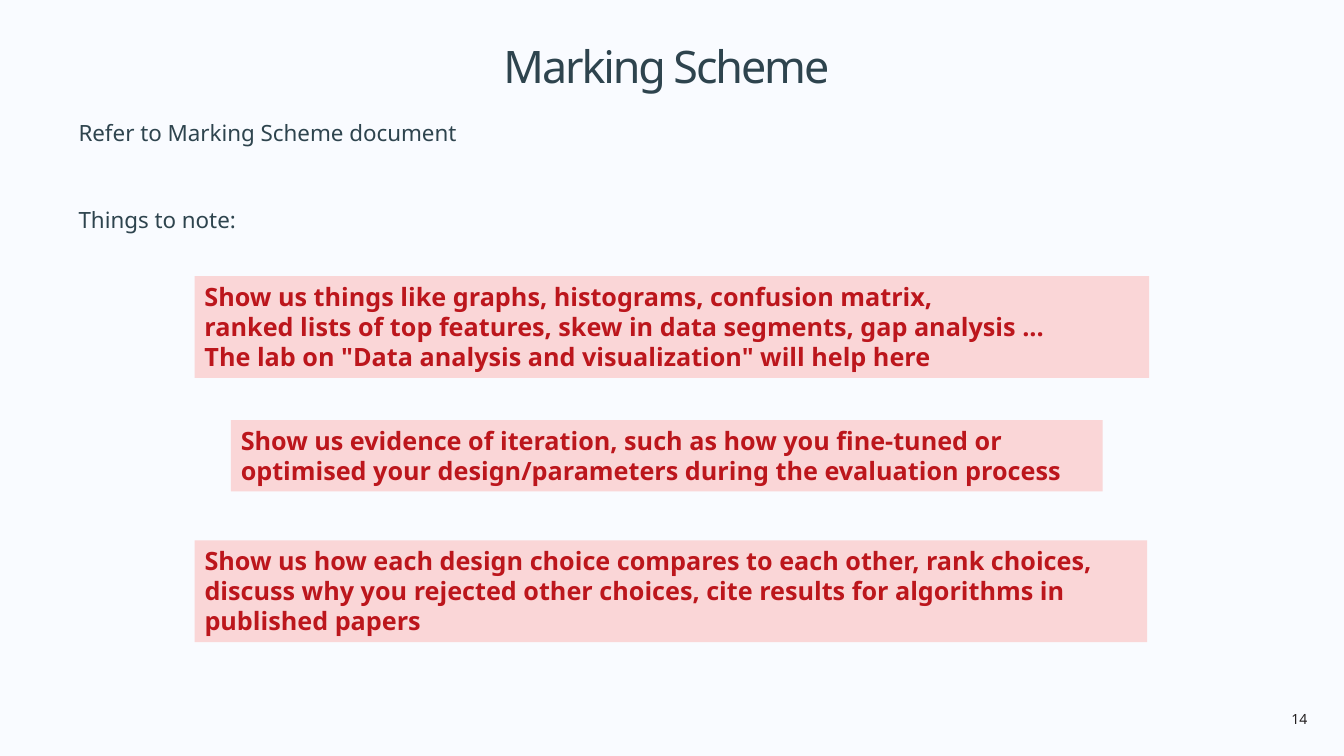
from dataclasses import dataclass

import pptx
import pptx.dml.color
import pptx.enum.shapes
import pptx.enum.text
import pptx.util

Pt = pptx.util.Pt
ALIGN = pptx.enum.text.PP_ALIGN
ANCHOR = pptx.enum.text.MSO_ANCHOR


def rgb(value):
    return pptx.dml.color.RGBColor.from_string(value)


@dataclass(frozen=True)
class Theme:
    font: str = "Noto Sans"
    background: str = "F9FBFF"
    ink: str = "2E444E"
    number_ink: str = "231F20"
    note_fill: str = "FAD6D7"
    note_ink: str = "BC161C"
    title_size: float = 32
    body_size: float = 16
    note_size: float = 18
    number_size: float = 10


def write(tf, lines, *, font, size, color, bold=False, align=ALIGN.LEFT,
          anchor=ANCHOR.TOP, spacing=0, gap=0, grow=False):
    """Fill a text frame, one paragraph a line; spacing is between letters, gap after lines."""
    tf.word_wrap = True
    tf.vertical_anchor = anchor
    sizing = pptx.enum.text.MSO_AUTO_SIZE
    tf.auto_size = sizing.SHAPE_TO_FIT_TEXT if grow else sizing.NONE
    for i, line in enumerate(lines):
        p = tf.add_paragraph() if i else tf.paragraphs[0]
        p.alignment = align
        p.space_after = Pt(gap)
        r = p.add_run()
        r.text = line
        r.font.name = font
        r.font.size = Pt(size)
        r.font.bold = bold
        r.font.color.rgb = rgb(color)
        if spacing:
            r.font._element.set("spc", str(round(spacing * 100)))


class SlideBuilder:
    def __init__(self, prs, theme):
        self.theme = theme
        self.s = prs.slides.add_slide(prs.slide_layouts[6])
        fill = self.s.background.fill
        fill.solid()
        fill.fore_color.rgb = rgb(theme.background)

    def text(self, box, lines, **fmt):
        sp = self.s.shapes.add_textbox(*map(Pt, box))
        write(sp.text_frame, lines, font=self.theme.font, **fmt)

    def note(self, box, lines):
        t = self.theme
        sp = self.s.shapes.add_shape(
            pptx.enum.shapes.MSO_SHAPE.RECTANGLE, *map(Pt, box))
        sp.shadow.inherit = False
        sp.fill.solid()
        sp.fill.fore_color.rgb = rgb(t.note_fill)
        sp.line.fill.background()
        write(sp.text_frame, lines, font=t.font, size=t.note_size,
              color=t.note_ink, bold=True, grow=True)


def main():
    prs = pptx.Presentation()
    prs.slide_width, prs.slide_height = Pt(960), Pt(540)
    t = Theme()
    slide = SlideBuilder(prs, t)

    slide.text((865.4, 504, 75.6, 19.4), ["14"], size=t.number_size,
               color=t.number_ink, align=ALIGN.RIGHT)
    slide.text((49, 81.4, 854, 60), ["Refer to Marking Scheme document"],
               size=t.body_size, color=t.ink)
    slide.text((49, 143.5, 854, 40), ["Things to note:"],
               size=t.body_size, color=t.ink)
    slide.text((49, 23.8, 854, 46), ["Marking Scheme"], size=t.title_size,
               color=t.ink, align=ALIGN.CENTER, anchor=ANCHOR.BOTTOM, spacing=-1.5)

    slide.note((139, 197.3, 681.8, 72.7), [
        "Show us things like graphs, histograms, confusion matrix,",
        "ranked lists of top features, skew in data segments, gap analysis ...",
        'The lab on "Data analysis and visualization" will help here',
    ])
    slide.note((164.9, 300.2, 622.8, 50.9), [
        "Show us evidence of iteration, such as how you fine-tuned or",
        "optimised your design/parameters during the evaluation process",
    ])
    slide.note((139, 385.9, 680.4, 72.7), [
        "Show us how each design choice compares to each other, rank choices, "
        "discuss why you rejected other choices, cite results for algorithms "
        "in published papers",
    ])
    prs.save("out.pptx")


if __name__ == "__main__":
    main()
